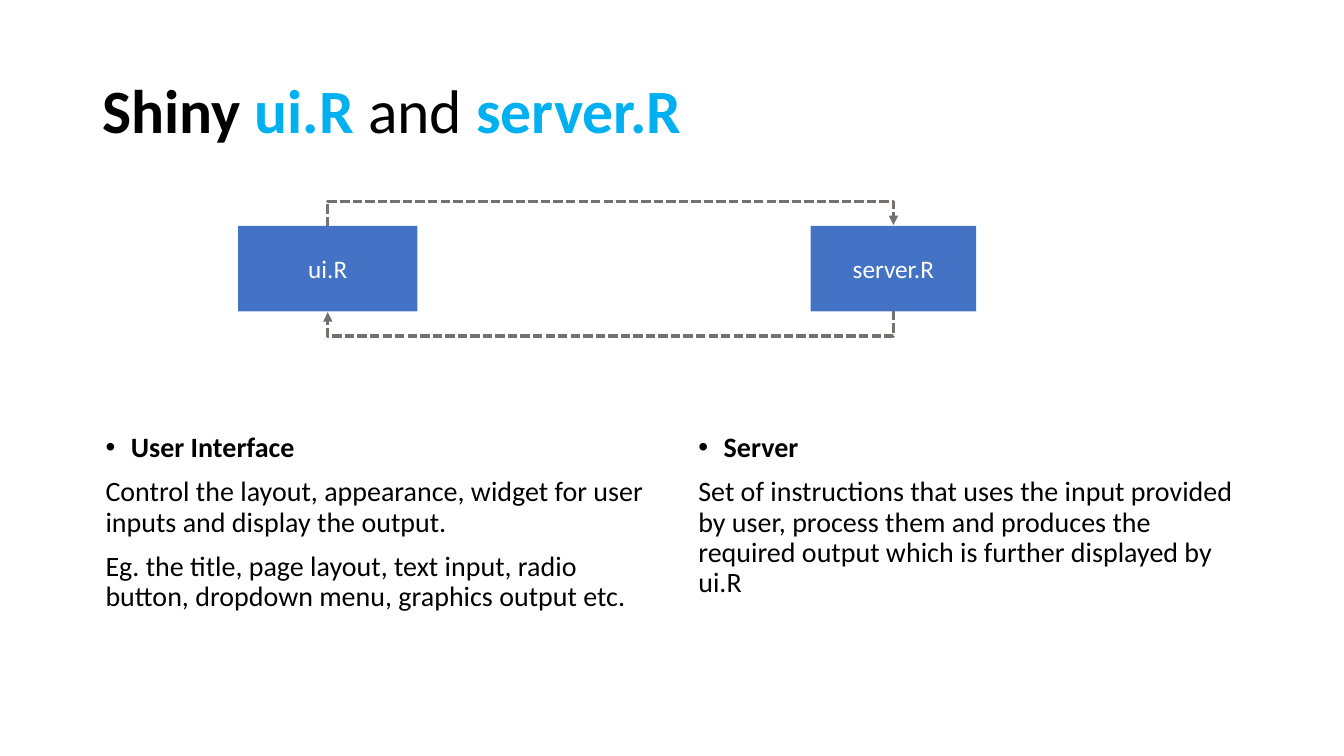
from dataclasses import dataclass

from lxml import etree
from pptx import Presentation
from pptx import util as u
from pptx.dml.color import RGBColor
from pptx.enum import dml, shapes, text
from pptx.oxml.ns import qn


@dataclass(frozen=True)
class Theme:
    font: str = "Calibri"
    ink: str = "000000"
    accent: str = "00B0F0"
    box: str = "4472C4"
    box_ink: str = "FFFFFF"
    arrow: str = "767171"
    title_size: int = 44
    body_size: int = 20
    box_size: int = 18
    arrow_width: float = 2.25


THEME = Theme()
TOP_SITE, BOTTOM_SITE = 0, 2
BODY_PARAGRAPH = {"line_spacing": 0.9, "space_before": u.Pt(10)}


def apply(target, formats):
    for name, value in formats.items():
        setattr(target, name, value)


def add_run(paragraph, words, size, color, bold=False):
    run = paragraph.add_run()
    run.text = words
    apply(run.font, {"name": THEME.font, "size": u.Pt(size), "bold": bold})
    run.font.color.rgb = RGBColor.from_string(color)


def add_frame(slide, box, anchor):
    frame = slide.shapes.add_textbox(*map(u.Cm, box)).text_frame
    apply(frame, {"word_wrap": True, "vertical_anchor": anchor})
    return frame


def add_bullet(paragraph, indent):
    properties = paragraph._p.get_or_add_pPr()
    properties.set("marL", str(indent))
    properties.set("indent", str(-indent))
    for tag, values in (("a:buFont", {"typeface": "Arial"}), ("a:buChar", {"char": "•"})):
        etree.SubElement(properties, qn(tag), values)


def add_title(slide, box, parts):
    heading = add_frame(slide, box, text.MSO_ANCHOR.MIDDLE).paragraphs[0]
    heading.line_spacing = 0.9
    for words, color, bold in parts:
        add_run(heading, words, THEME.title_size, color, bold)


def add_role(slide, box, heading, details):
    """Place a bulleted bold heading with plain paragraphs under it."""
    frame = add_frame(slide, box, text.MSO_ANCHOR.TOP)
    first = frame.paragraphs[0]
    apply(first, BODY_PARAGRAPH)
    add_bullet(first, u.Cm(0.64))
    add_run(first, heading, THEME.body_size, THEME.ink, bold=True)
    for detail in details:
        paragraph = frame.add_paragraph()
        apply(paragraph, BODY_PARAGRAPH)
        add_run(paragraph, detail, THEME.body_size, THEME.ink)


def add_file_box(slide, box, name):
    file_box = slide.shapes.add_shape(shapes.MSO_SHAPE.RECTANGLE, *map(u.Cm, box))
    file_box.shadow.inherit = False
    file_box.fill.solid()
    file_box.fill.fore_color.rgb = RGBColor.from_string(THEME.box)
    file_box.line.fill.background()
    file_box.text_frame.vertical_anchor = text.MSO_ANCHOR.MIDDLE
    label = file_box.text_frame.paragraphs[0]
    label.alignment = text.PP_ALIGN.CENTER
    add_run(label, name, THEME.box_size, THEME.box_ink)
    return file_box


def add_loop_arrow(slide, source, target, site):
    """Join two boxes by a dashed U-shaped arrow above or below them."""
    arrow = slide.shapes.add_connector(shapes.MSO_CONNECTOR.ELBOW, 0, 0, 0, 0)
    arrow.begin_connect(source, site)
    arrow.end_connect(target, site)

    # A U is an elbow turned a quarter, whose bend lies far outside its thin box.
    thickness, reach = u.Pt(1), u.Cm(0.64)
    centers = [box.left + box.width // 2 for box in (source, target)]
    span = abs(centers[1] - centers[0])
    edge = source.top + (source.height if site == BOTTOM_SITE else 0)
    apply(arrow, {"left": (sum(centers) - thickness) // 2, "top": edge - span // 2,
                  "width": thickness, "height": span})
    properties = arrow._element.spPr
    frame = properties.find(qn("a:xfrm"))
    flip = "1" if site == TOP_SITE else "0"
    for name, value in {"rot": "5400000", "flipH": flip, "flipV": flip}.items():
        frame.set(name, value)
    guides = properties.find(qn("a:prstGeom")).get_or_add_avLst()
    bend = round(reach / thickness * 100000)
    etree.SubElement(guides, qn("a:gd"), {"name": "adj1", "fmla": f"val {bend}"})

    arrow.line.color.rgb = RGBColor.from_string(THEME.arrow)
    apply(arrow.line, {"width": u.Pt(THEME.arrow_width),
                       "dash_style": dml.MSO_LINE.SQUARE_DOT})
    etree.SubElement(properties.find(qn("a:ln")), qn("a:tailEnd"), {"type": "triangle"})
    etree.SubElement(properties, qn("a:effectLst"))


def add_exchange(slide, box):
    """Place the two file boxes at the ends of the box, with arrows both ways."""
    left, top, width, height = box
    ui_width, server_width = 4.52, 4.17
    ui = add_file_box(slide, (left, top, ui_width, height), "ui.R")
    server = add_file_box(
        slide, (left + width - server_width, top, server_width, height), "server.R")
    add_loop_arrow(slide, ui, server, TOP_SITE)
    add_loop_arrow(slide, server, ui, BOTTOM_SITE)


def main():
    deck = Presentation()
    apply(deck, {"slide_width": u.Cm(33.87), "slide_height": u.Cm(19.05)})
    slide = deck.slides.add_slide(deck.slide_layouts[6])
    add_title(slide, (2.33, 1.02, 29.21, 3.68), [
        ("Shiny ", THEME.ink, True),
        ("ui.R ", THEME.accent, True),
        ("and ", THEME.ink, False),
        ("server.R", THEME.accent, True),
    ])
    add_role(slide, (2.41, 10.8, 14.33, 4.98), "User Interface", [
        "Control the layout, appearance, widget for user inputs and display the output.",
        "Eg. the title, page layout, text input, radio button, dropdown menu, "
        "graphics output etc.",
    ])
    add_role(slide, (17.35, 10.8, 14.4, 4.98), "Server", [
        "Set of instructions that uses the input provided by user, process them and "
        "produces the required output which is further displayed by ui.R",
    ])
    add_exchange(slide, (6, 5.69, 18.6, 2.16))
    deck.save("out.pptx")


if __name__ == "__main__":
    main()
